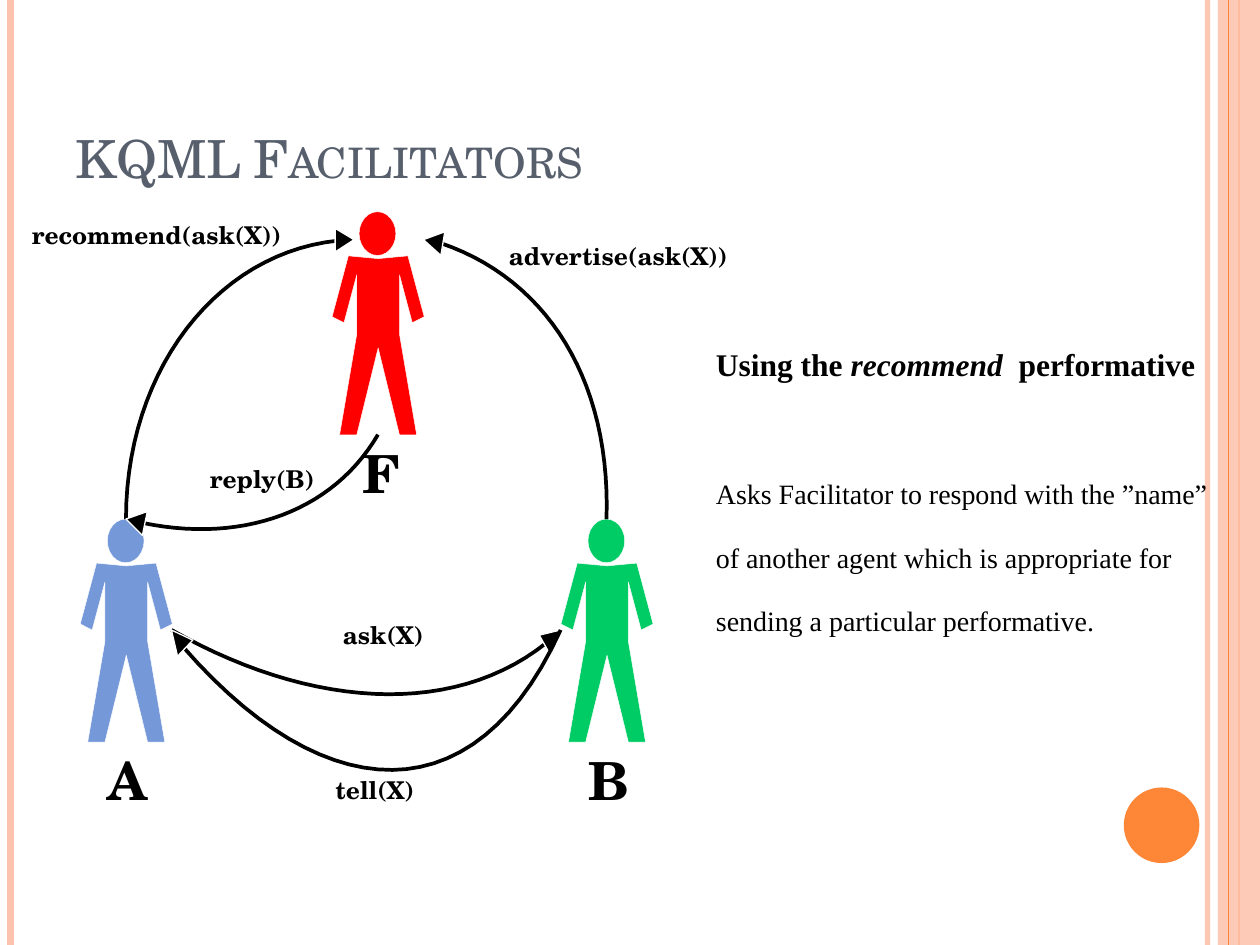
from dataclasses import dataclass

from lxml import etree
from pptx import Presentation
from pptx.dml.color import RGBColor
from pptx.enum import shapes, text
from pptx.oxml.ns import qn
from pptx.util import Pt


@dataclass(frozen=True)
class Theme:
    peach: str = "FEC3AE"
    orange: str = "FE8637"
    slate: str = "575F6D"
    black: str = "000000"
    white: str = "FFFFFF"
    blue: str = "7598D9"
    green: str = "00CC66"
    red: str = "FF0000"
    serif: str = "TeX Gyre Schola"
    body_font: str = "Times New Roman"
    title_size: float = 30
    lead_size: float = 18
    body_size: float = 16
    label_size: float = 14


THEME = Theme()
WIDTH, HEIGHT = 720, 540
HEAD_WIDTH, HEAD_HEIGHT = 21, 25
BODY_HALF = [(17, 25.2), (26.3, 60), (19.5, 63.4), (12.2, 36),
             (12.2, 70), (22, 127.5), (12.2, 127.5)]
NECK, CROTCH = (0, 26.8), (0, 77.8)
BODY = [NECK] + [(-x, y) for x, y in BODY_HALF] + [CROTCH] + BODY_HALF[::-1]


def rgb(color):
    return RGBColor.from_string(color)


def set_alpha(fill_parent, percent):
    color = next(fill_parent.iter(qn("a:srgbClr")))
    etree.SubElement(color, qn("a:alpha")).set("val", str(percent * 1000))


def style(shape, fill=None, line=None, width=0.25):
    shape.shadow.inherit = False
    if fill:
        shape.fill.solid()
        shape.fill.fore_color.rgb = rgb(fill)
    else:
        shape.fill.background()
    if line:
        shape.line.color.rgb = rgb(line)
        shape.line.width = Pt(width)
    else:
        shape.line.fill.background()


def add_rule(slide, x, color, width, alpha=None):
    rule = slide.shapes.add_connector(
        shapes.MSO_CONNECTOR.STRAIGHT, Pt(x), 0, Pt(x), Pt(HEIGHT))
    rule.line.color.rgb = rgb(color)
    rule.line.width = Pt(width)
    if alpha:
        set_alpha(rule.line._ln, alpha)
    etree.SubElement(rule._element.spPr, qn("a:effectLst"))


def add_preset(container, kind, left, top, width, height, fill, line=None):
    shape = container.add_shape(kind, Pt(left), Pt(top), Pt(width), Pt(height))
    style(shape, fill, line)
    return shape


def add_outline(container, points, close):
    corners = [(Pt(x), Pt(y)) for x, y in points]
    builder = container.build_freeform(*corners[0], scale=1.0)
    builder.add_line_segments(corners[1:], close=close)
    return builder.convert_to_shape()


def add_text_box(slide, left, top, width, height, inset=True, wrap=True):
    box = slide.shapes.add_textbox(Pt(left), Pt(top), Pt(width), Pt(height))
    frame = box.text_frame
    frame.word_wrap = wrap
    if not inset:
        frame.margin_left = frame.margin_right = 0
        frame.margin_top = frame.margin_bottom = 0
    return frame


def set_font(paragraph, name, size, color, bold=False):
    font = paragraph.font
    font.name, font.size, font.bold = name, Pt(size), bold
    font.color.rgb = rgb(color)


def add_label(slide, words, left, top, width, height=17,
              size=THEME.label_size):
    frame = add_text_box(slide, left, top, width, height, inset=False, wrap=False)
    paragraph = frame.paragraphs[0]
    paragraph.text = words
    set_font(paragraph, THEME.serif, size, THEME.black, bold=True)


def add_agent(slide, center, top, color):
    group = slide.shapes.add_group_shape()
    body = add_outline(group.shapes, [(center + 0.4 + x, top + y) for x, y in BODY], True)
    style(body, color, THEME.white)
    add_preset(group.shapes, shapes.MSO_SHAPE.OVAL, center - HEAD_WIDTH / 2, top,
               HEAD_WIDTH, HEAD_HEIGHT, color, THEME.white)


def bezier(controls, steps=28):
    for step in range(steps + 1):
        t = step / steps
        weights = ((1 - t) ** 3, 3 * t * (1 - t) ** 2, 3 * t * t * (1 - t), t ** 3)
        yield tuple(sum(w * point[axis] for w, point in zip(weights, controls))
                    for axis in (0, 1))


def add_message(slide, curve, arrowhead):
    arc = add_outline(slide.shapes, list(bezier(curve)), False)
    style(arc, line=THEME.black, width=2.13)
    head = add_outline(slide.shapes, arrowhead, True)
    style(head, THEME.black, THEME.white, 0.75)


def add_decoration(slide):
    add_rule(slide, 690, THEME.peach, 3, 93)
    add_rule(slide, 6, THEME.peach, 4.5)
    add_rule(slide, 708, THEME.orange, 1.5)
    band = add_preset(slide.shapes, shapes.MSO_SHAPE.RECTANGLE,
                      696, 0, 24, HEIGHT, THEME.peach)
    set_alpha(band._element.spPr, 87)
    add_rule(slide, 702, THEME.orange, 0.75)
    add_preset(slide.shapes, shapes.MSO_SHAPE.OVAL, 642.2, 450, 43.2, 43.2, THEME.orange)


def add_title(slide, words):
    frame = add_text_box(slide, 36, 21.6, 588, 90)
    frame.vertical_anchor = text.MSO_ANCHOR.BOTTOM
    paragraph = frame.paragraphs[0]
    run = paragraph.add_run()
    run.text = words
    set_font(paragraph, THEME.serif, THEME.title_size, THEME.slate)
    run._r.get_or_add_rPr().set("cap", "small")


def add_explanation(slide):
    frame = add_text_box(slide, 402, 174.2, 306, 250)
    lead, detail = frame.paragraphs[0], frame.add_paragraph()
    for words, italic in (("Using the ", False), ("recommend ", True),
                          (" performative", False)):
        run = lead.add_run()
        run.text = words
        run.font.italic = italic
    detail.text = ("Asks Facilitator to respond with the ”name” of another agent "
                   "which is appropriate for sending a particular performative.")
    detail.space_before = Pt(36.2)
    set_font(lead, THEME.body_font, THEME.lead_size, THEME.black, bold=True)
    set_font(detail, THEME.body_font, THEME.body_size, THEME.black)
    lead.line_spacing = detail.line_spacing = 1.9


def main():
    presentation = Presentation()
    presentation.slide_width, presentation.slide_height = Pt(WIDTH), Pt(HEIGHT)
    slide = presentation.slides.add_slide(presentation.slide_layouts[6])
    add_decoration(slide)

    for name, center, top, color, left in (("A", 71.8, 296.6, THEME.blue, 61.6),
                                           ("B", 346.5, 296.6, THEME.green, 336.2),
                                           ("F", 215.7, 121, THEME.red, 207.2)):
        add_agent(slide, center, top, color)
        add_label(slide, name, left, top + 131, 21, 36, THEME.title_size)

    messages = [
        ([(72, 296.6), (72, 211.7), (123.8, 144.7), (193, 137.5)],
         [(191.5, 130.5), (202.3, 137), (191.5, 144)]),
        ([(252, 139), (313.2, 159.8), (349.2, 218.2), (346.6, 296.6)],
         [(252, 146), (242, 137), (254.2, 132.5)]),
        ([(98, 360), (175, 403.9), (257.8, 411.1), (312.5, 367.2)],
         [(308.2, 363), (320.4, 360), (314.6, 374.4)]),
        ([(104.4, 369.4), (185, 462.2), (271.4, 468), (320.4, 360)],
         [(101.5, 375), (98, 360), (110.2, 365.8)]),
        ([(81.4, 298.8), (139.7, 311), (190.8, 291.6), (216, 248.4)],
         [(81.4, 306), (72, 296.6), (84.2, 292.3)]),
    ]
    for curve, arrowhead in messages:
        add_message(slide, curve, arrowhead)

    for words, left, top, width in (("recommend(ask(X))", 18.2, 126, 144),
                                    ("advertise(ask(X))", 290.8, 137.8, 126),
                                    ("reply(B)", 120, 265, 60.5),
                                    ("ask(X)", 196, 354.2, 46.8),
                                    ("tell(X)", 191.7, 442.8, 45.4)):
        add_label(slide, words, left, top, width)

    add_explanation(slide)
    add_title(slide, "KQML Facilitators")
    presentation.save("out.pptx")


if __name__ == "__main__":
    main()
